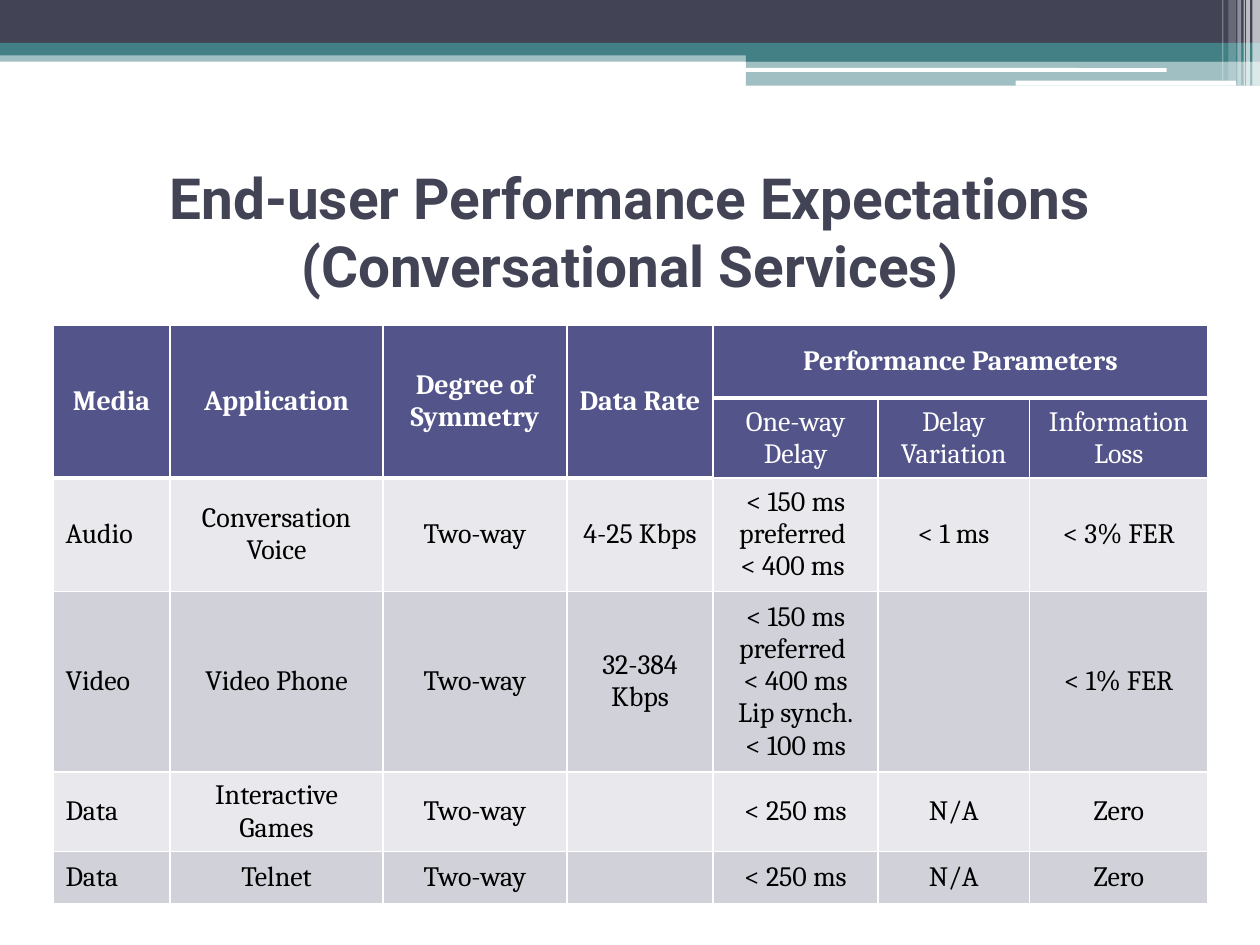
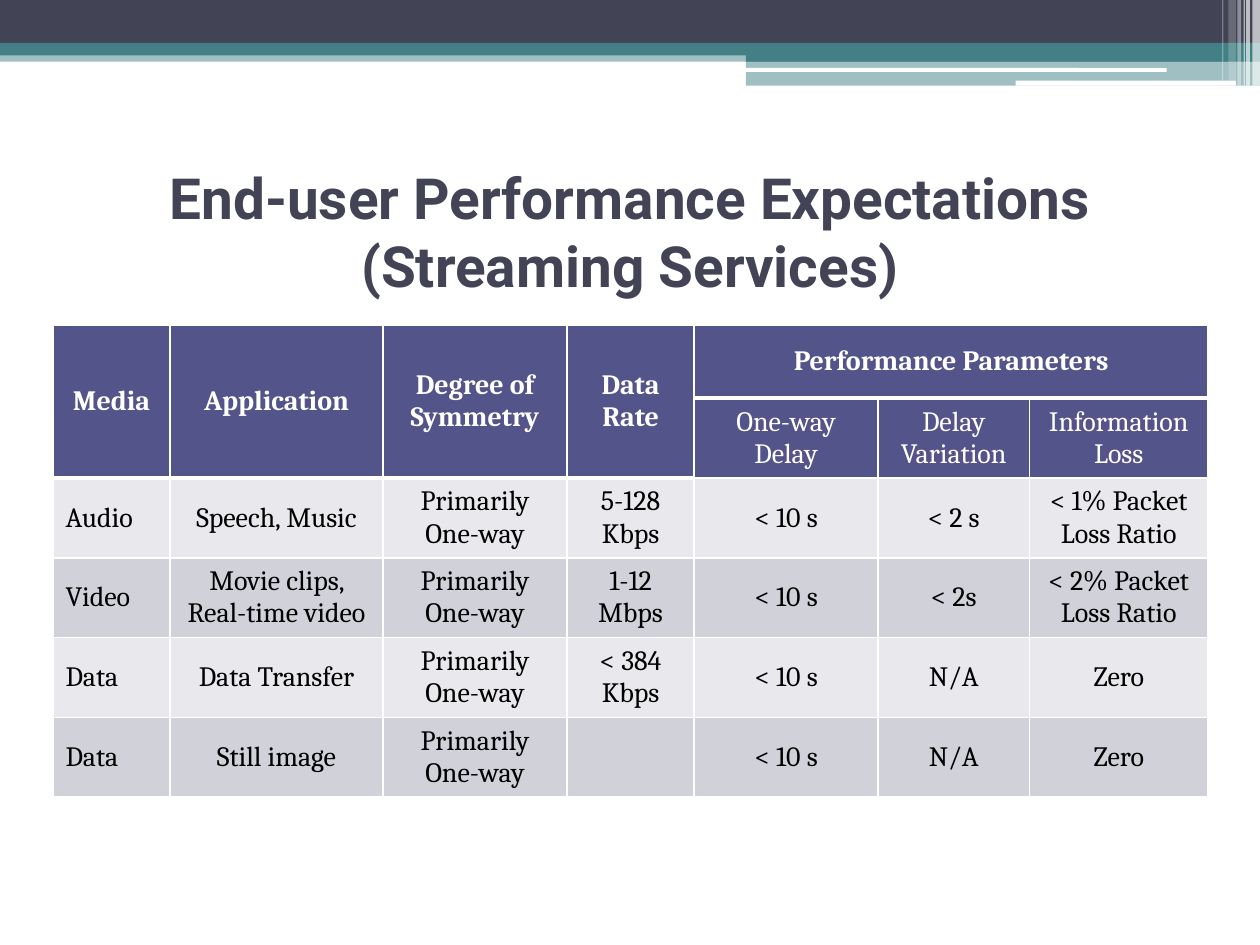
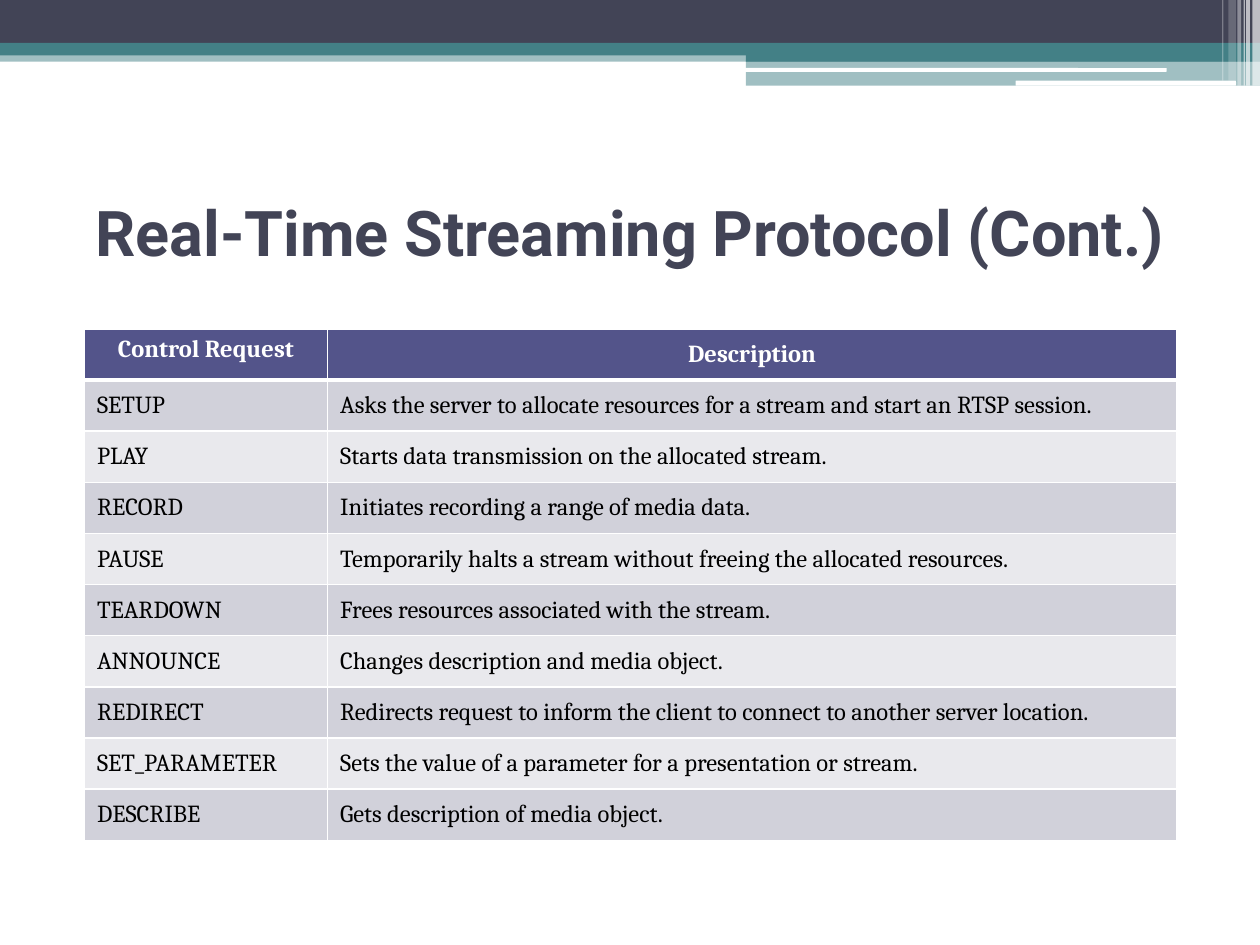
"""Build three slides on service expectations and streaming control requests."""
import pptx
import pptx.dml.color
import pptx.enum.shapes
import pptx.enum.text
import pptx.oxml
import pptx.oxml.ns
import pptx.util

Inches = pptx.util.Inches
Pt = pptx.util.Pt
ALIGN = pptx.enum.text.PP_ALIGN
ANCHOR = pptx.enum.text.MSO_ANCHOR
SHAPE = pptx.enum.shapes.MSO_SHAPE

COLORS = {
    "ink": "424456", "teal": "438086", "head": "53548A",
    "light": "E9E9ED", "dark": "D1D1DA", "white": "FFFFFF", "black": "000000",
}

BANDS = [
    ((0, 0.4, 10, 0.09), "teal", 50),
    ((0, 0, 10, 0.34), "ink", 100),
    ((0, 0.34, 10, 0.1), "teal", 100),
    ((5.92, 0.39, 4.08, 0.1), "teal", 100),
    ((5.92, 0.48, 4.08, 0.2), "teal", 50),
]
BARS = [
    ((5.91, 0.54, 3.35, 0.03), "white", 100),
    ((8.06, 0.64, 1.75, 0.04), "white", 100),
]
STRIPES = [
    ((9.94, 0, 0.06, 0.68), "white", 65),
    ((9.89, 0, 0.03, 0.68), "white", 65),
    ((9.87, 0, 0.01, 0.68), "white", 60),
    ((9.82, 0, 0.03, 0.68), "white", 40),
    ((9.75, 0, 0.06, 0.64), "white", 20),
    ((9.7, 0, 0.01, 0.64), "white", 30),
]
DECOR = [(SHAPE.RECTANGLE, BANDS), (SHAPE.ROUNDED_RECTANGLE, BARS), (SHAPE.RECTANGLE, STRIPES)]

HEADS = [
    ["Media", "Application", "Degree of Symmetry", "Data Rate", "Performance Parameters", "", ""],
    ["", "", "", "", "One-way Delay", "Delay Variation", "Information Loss"],
]
MERGES = [((0, col), (1, col)) for col in range(4)] + [((0, 4), (0, 6))]
GRID = {
    "at": (0.42, 2.58), "rows": [0.58] * 2 + [0.41] * 4, "heads": 2, "merges": MERGES,
    "size": 16, "fills": ("light", "dark"), "aligns": [ALIGN.LEFT] + [ALIGN.CENTER] * 6,
}

SLIDES = [
    {
        "title": "End-user Performance Expectations (Conversational Services)", "points": 32.4,
        **GRID, "cols": [0.93, 1.69, 1.46, 1.16, 1.31, 1.2, 1.42],
        "cells": HEADS + [
            ["Audio", "Conversation Voice", "Two-way", "4-25 Kbps",
             "< 150 ms preferred \n< 400 ms ", "< 1 ms", "< 3% FER"],
            ["Video", "Video Phone", "Two-way", "32-384 Kbps",
             "< 150 ms preferred \n< 400 ms\nLip synch.\n< 100 ms", "", "< 1% FER"],
            ["Data", "Interactive Games", "Two-way", "", "< 250 ms", "N/A", "Zero"],
            ["Data", "Telnet", "Two-way", "", "< 250 ms", "N/A", "Zero"],
        ],
    },
    {
        "title": "End-user Performance Expectations (Streaming Services)", "points": 32.4,
        **GRID, "cols": [0.93, 1.69, 1.46, 1.01, 1.46, 1.2, 1.42],
        "cells": HEADS + [
            ["Audio", "Speech, Music", "Primarily One-way", "5-128 Kbps",
             "< 10 s", "< 2 s", "< 1% Packet Loss Ratio"],
            ["Video", "Movie clips, Real-time video", "Primarily One-way", "1-12 Mbps",
             "< 10 s", "< 2s", "< 2% Packet Loss Ratio"],
            ["Data", "Data Transfer", "Primarily One-way", "< 384 Kbps", "< 10 s", "N/A", "Zero"],
            ["Data", "Still image", "Primarily One-way", "", "< 10 s", "N/A", "Zero"],
        ],
    },
    {
        "title": "Real-Time Streaming Protocol (Cont.)", "points": 36,
        "at": (0.67, 2.61), "cols": [1.93, 6.74], "rows": [4.06 / 10] * 10, "heads": 1,
        "merges": [], "size": 14, "fills": ("dark", "light"), "aligns": [ALIGN.JUSTIFY] * 2,
        "tops": [(0, 0)],
        "cells": [
            ["Control Request", "Description"],
            ["SETUP", "Asks the server to allocate resources for a stream and start an RTSP session."],
            ["PLAY", "Starts data transmission on the allocated stream."],
            ["RECORD", "Initiates recording a range of media data."],
            ["PAUSE", "Temporarily halts a stream without freeing the allocated resources."],
            ["TEARDOWN", "Frees resources associated with the stream."],
            ["ANNOUNCE", "Changes description and media object."],
            ["REDIRECT", "Redirects request to inform the client to connect to another server location."],
            ["SET_PARAMETER", "Sets the value of a parameter for a presentation or stream."],
            ["DESCRIBE", "Gets description of media object."],
        ],
    },
]


def paint(fill, color):
    fill.solid()
    fill.fore_color.rgb = pptx.dml.color.RGBColor.from_string(COLORS[color])


def write(frame, text, align, color, form):
    frame.text = text
    for para in frame.paragraphs:
        para.alignment = align
        for key, value in form.items():
            setattr(para.font, key, value)
        paint(para.font.fill, color)
        for run in para.runs:
            for key, value in form.items():
                setattr(run.font, key, value)
            paint(run.font.fill, color)


def add_decor(slide):
    for kind, parts in DECOR:
        for box, color, alpha in parts:
            shape = slide.shapes.add_shape(kind, *map(Inches, box))
            shape.shadow.inherit = False
            shape.line.fill.background()
            paint(shape.fill, color)
            if alpha < 100:
                tint = shape._element.spPr.find(".//" + pptx.oxml.ns.qn("a:srgbClr"))
                pptx.oxml.ns.qn("a:alpha")
                tint.append(pptx.oxml.parse_xml(
                    f'<a:alpha {pptx.oxml.ns.nsdecls("a")} val="{alpha * 1000}"/>'))


def add_title(slide, text, points):
    frame = slide.shapes.add_textbox(*map(Inches, (0.5, 1.25, 9, 1.17))).text_frame
    frame.word_wrap = True
    frame.vertical_anchor = ANCHOR.MIDDLE
    write(frame, text, ALIGN.CENTER, "ink", {"name": "Roboto", "size": Pt(points), "bold": True})


def edge(cell, base):
    for side, width in (("L", 1), ("R", 1), ("T", 1), ("B", base)):
        cell._tc.get_or_add_tcPr().append(pptx.oxml.parse_xml(
            f'<a:ln{side} {pptx.oxml.ns.nsdecls("a")} w="{Pt(width)}"><a:solidFill>'
            f'<a:srgbClr val="{COLORS["white"]}"/></a:solidFill></a:ln{side}>'))


def add_grid(slide, data):
    cells, cols, rows = data["cells"], data["cols"], data["rows"]
    box = (*data["at"], sum(cols), sum(rows))
    table = slide.shapes.add_table(len(rows), len(cols), *map(Inches, box)).table
    table.horz_banding = False
    for col, width in zip(table.columns, cols):
        col.width = Inches(width)
    for row, height in zip(table.rows, rows):
        row.height = Inches(height)
    for first, last in data["merges"]:
        table.cell(*first).merge(table.cell(*last))
    for r, line in enumerate(cells):
        head = r < data["heads"]
        color = "head" if head else data["fills"][(r - data["heads"]) % 2]
        for c, text in enumerate(line):
            cell = table.cell(r, c)
            top = (r, c) in data.get("tops", [])
            cell.vertical_anchor = ANCHOR.TOP if top else ANCHOR.MIDDLE
            edge(cell, 3 if r == 0 or cell.is_spanned else 1)
            paint(cell.fill, color)
            form = {"name": "Cambria", "size": Pt(data["size"]), "bold": r == 0}
            align = ALIGN.CENTER if head else data["aligns"][c]
            write(cell.text_frame, text, align, "white" if head else "black", form)


def main():
    deck = pptx.Presentation()
    deck.slide_width, deck.slide_height = Inches(10), Inches(7.5)
    for data in SLIDES:
        slide = deck.slides.add_slide(deck.slide_layouts[6])
        add_decor(slide)
        add_title(slide, data["title"], data["points"])
        add_grid(slide, data)
    deck.save("out.pptx")


if __name__ == "__main__":
    main()
